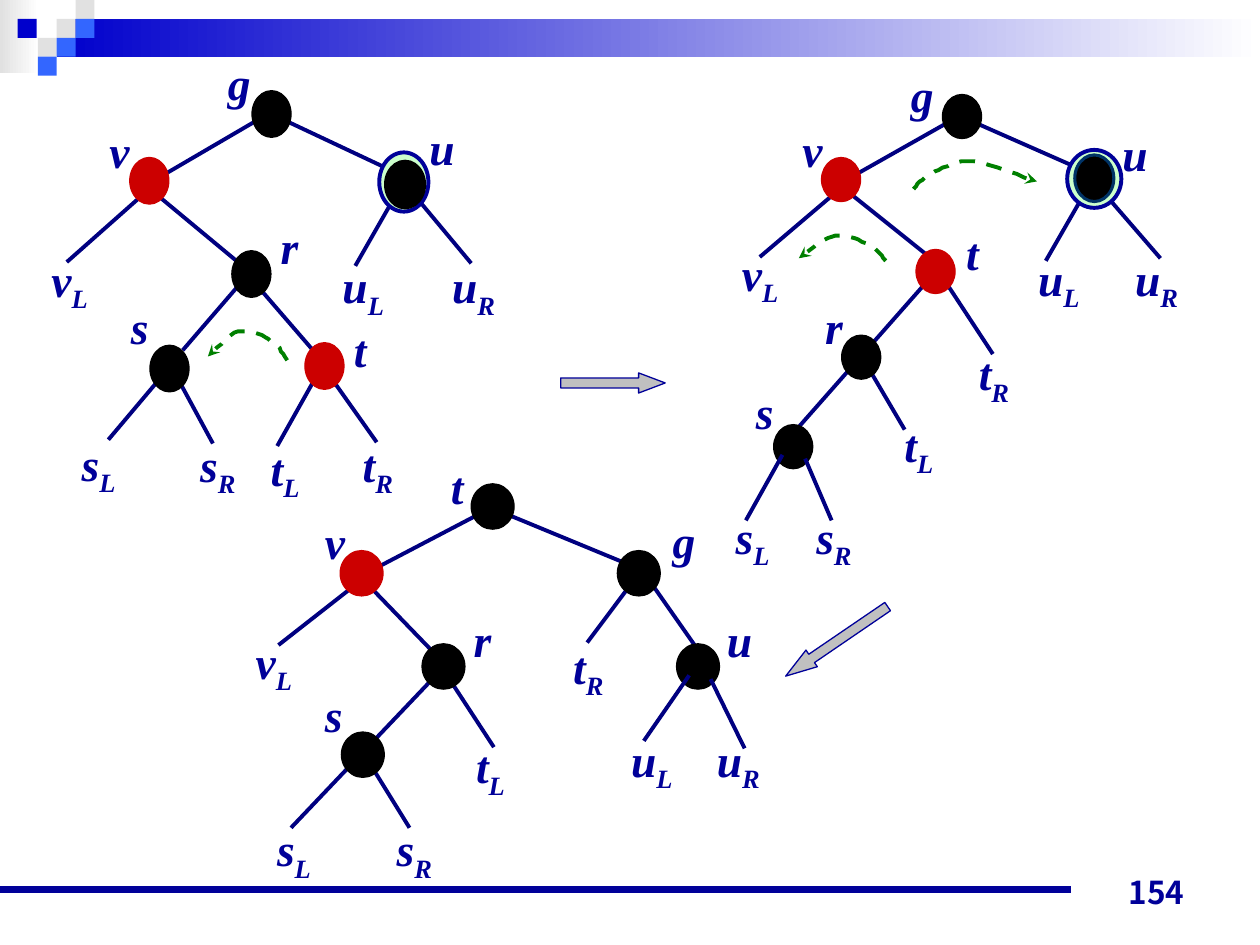
from dataclasses import dataclass
from lxml.etree import SubElement
from pptx import Presentation
from pptx.dml.color import RGBColor
from pptx.enum.dml import MSO_LINE
from pptx.enum.shapes import MSO_CONNECTOR, MSO_SHAPE
from pptx.enum.text import MSO_ANCHOR, PP_ALIGN
from pptx.oxml.ns import qn
from pptx.util import Emu, Pt

PX = 9144  # one px is a hundredth of an inch


@dataclass(frozen=True)
class Theme:
    navy: str = "000099"
    edge: str = "000080"
    black: str = "000000"
    red: str = "CC0000"
    ring: str = "CCFFCC"
    rim: str = "003366"
    green: str = "008000"
    silver: str = "C0C0C0"
    pale: str = "E1E1E1"
    deep: str = "0000CC"
    bright: str = "3366FF"
    white: str = "FFFFFF"
    label_font: str = "Times New Roman"
    number_font: str = "Noto Sans CJK JP"
    label_size: int = 26
    number_size: int = 18
    stroke: float = 2.25
    thin: float = 0.75


THEME = Theme()


def px(*lengths):
    return [Emu(length * PX) for length in lengths]


def color(code):
    return RGBColor.from_string(code)


def add_figure(page, kind, box, fill, line=None, width=THEME.thin):
    figure = page.shapes.add_shape(kind, *px(*box))
    figure.shadow.inherit = False
    if isinstance(fill, tuple):
        figure.fill.gradient()
        figure.fill.gradient_angle = 0
        for stop, code in zip(figure.fill.gradient_stops, fill):
            stop.color.rgb = color(code)
    else:
        figure.fill.solid()
        figure.fill.fore_color.rgb = color(fill)
    if line:
        figure.line.color.rgb = color(line)
        figure.line.width = Pt(width)
    else:
        figure.line.fill.background()
    return figure


def add_line(page, ends, code, width):
    line = page.shapes.add_connector(MSO_CONNECTOR.STRAIGHT, *px(*ends))
    line.line.color.rgb = color(code)
    line.line.width = Pt(width)
    SubElement(line._element.spPr, qn("a:effectLst"))


def add_text(page, box, text, font, size, subscript="", italic=False):
    frame = page.shapes.add_textbox(*px(*box)).text_frame
    frame.word_wrap = True
    para = frame.paragraphs[0]
    para.font.name, para.font.size = font, Pt(size)
    para.font.bold, para.font.italic = True, italic
    para.font.color.rgb = color(THEME.navy)
    para.add_run().text = text
    if subscript:
        span = para.add_run()
        span.text = subscript
        span._r.get_or_add_rPr().set("baseline", "-25000")
    return frame


def add_arc(page, left, top, points):
    """Dashed rotation arrow: a start point, then three points per Bézier curve."""
    curve = []
    for first in range(0, len(points) - 1, 3):
        a, b, c, d = points[first:first + 4]
        for t in (step / 8 for step in range(1, 9)):
            u = 1 - t
            curve.append(tuple(
                offset + u**3 * a[i] + 3 * u * u * t * b[i] + 3 * u * t * t * c[i] + t**3 * d[i]
                for i, offset in enumerate((left, top))))
    builder = page.shapes.build_freeform(left + points[0][0], top + points[0][1], scale=PX)
    builder.add_line_segments(curve, close=False)
    arc = builder.convert_to_shape()
    arc.shadow.inherit = False
    arc.fill.background()
    arc.line.color.rgb = color(THEME.green)
    arc.line.width = Pt(THEME.stroke)
    arc.line.dash_style = MSO_LINE.DASH
    SubElement(arc.line._get_or_add_ln(), qn("a:tailEnd"), type="stealth")


def add_tree(page, box, label_size, node_size, labels, edges, nodes,
             front_edges=(), ring=None, ringed_node=None, arcs=()):
    left, top = box

    def draw_edges(group):
        for x1, y1, x2, y2 in group:
            add_line(page, (left + x1, top + y1, left + x2, top + y2),
                     THEME.edge, THEME.stroke)

    def draw_node(x, y, size, fill, line, width=THEME.thin):
        add_figure(page, MSO_SHAPE.OVAL, (left + x, top + y, *size), fill, line, width)

    # Node and subtree names; the second letter is the subscript
    for name, x, y in labels:
        add_text(page, (left + x, top + y, *label_size), name[0],
                 THEME.label_font, THEME.label_size, name[1:], italic=True)
    draw_edges(edges)
    for x, y, code in nodes:
        draw_node(x, y, node_size, code, code)
    # Doubly black node
    if ring:
        draw_node(*ring[:2], ring[2:], THEME.ring, THEME.navy, THEME.stroke)
        x, y, rim = ringed_node
        draw_node(x, y, (31, 37), THEME.black, rim, 1.75)
    draw_edges(front_edges)
    for points in arcs:
        add_arc(page, left, top, points)


def add_banner(page, left, top):
    block = MSO_SHAPE.RECTANGLE
    add_figure(page, block, (left, top, 31, 58), (THEME.pale, THEME.white))
    add_figure(page, block, (left + 45, top + 15, 955, 30), (THEME.deep, THEME.white))
    for x, y, code in [(45, 15, THEME.pale), (60, 0, THEME.pale), (60, 15, THEME.bright),
                       (30, 30, THEME.pale), (14, 15, THEME.deep), (45, 30, THEME.bright),
                       (30, 45, THEME.bright)]:
        add_figure(page, block, (left + x, top + y, 15, 15), code)


def add_footer(page, left, top):
    add_line(page, (left, top + 28, left + 850, top + 28), THEME.navy, 4.5)
    frame = add_text(page, (left + 717, top, 233, 50), "154",
                     THEME.number_font, THEME.number_size)
    frame.vertical_anchor = MSO_ANCHOR.BOTTOM
    frame.paragraphs[0].alignment = PP_ALIGN.RIGHT


def add_step_arrow(page, box, head, rotation=0):
    arrow = add_figure(page, MSO_SHAPE.RIGHT_ARROW, box, THEME.silver, THEME.navy)
    arrow.adjustments[1] = head
    arrow.rotation = rotation


def main():
    deck = Presentation()
    deck.slide_width, deck.slide_height = px(1000, 750)
    page = deck.slides.add_slide(deck.slide_layouts[6])
    black, red = THEME.black, THEME.red
    add_banner(page, 0, 0)
    add_footer(page, 0, 678)

    # Starting tree
    add_tree(
        page, (31, 39), (97, 85), (31, 37),
        labels=[("g", 140, 0), ("v", 46, 54), ("u", 300, 51), ("uL", 231, 161),
                ("uR", 318, 161), ("sR", 118, 303), ("vL", 0, 156), ("s", 63, 193),
                ("r", 182, 130), ("sL", 24, 302), ("tR", 247, 303), ("t", 240, 212),
                ("tL", 174, 306)],
        edges=[(194, 56, 279, 96), (283, 116, 251, 172), (298, 116, 343, 170),
               (176, 191, 220, 242), (94, 116, 159, 170), (179, 53, 102, 98),
               (83, 115, 22, 169), (158, 188, 114, 239), (112, 265, 138, 313),
               (98, 259, 55, 310), (234, 264, 268, 312), (221, 258, 189, 315)],
        nodes=[(169, 33, black), (72, 86, red), (153, 160, black), (88, 235, black),
               (211, 233, red)],
        ring=(270, 82, 39, 47), ringed_node=(275, 89, black),
        arcs=[[(197, 247), (193, 240), (189, 234), (182, 230), (176, 226), (166, 222),
               (158, 224), (150, 226), (138, 241), (134, 244)]])

    # Tree after the first rotation
    add_tree(
        page, (574, 48), (95, 81), (31, 35),
        labels=[("g", 139, 0), ("v", 53, 44), ("u", 307, 47), ("uL", 240, 146),
                ("uR", 317, 146), ("sR", 64, 351), ("vL", 5, 142), ("s", 16, 252),
                ("r", 71, 184), ("sL", 0, 351), ("tR", 193, 221), ("t", 183, 126),
                ("tL", 134, 278)],
        edges=[(199, 49, 283, 86), (287, 105, 256, 159), (302, 105, 347, 157),
               (174, 172, 214, 233), (100, 105, 165, 157), (184, 46, 108, 89),
               (89, 105, 29, 156), (163, 174, 51, 301), (117, 247, 144, 293)],
        nodes=[(174, 27, black), (78, 77, red), (40, 289, black), (94, 218, black),
               (153, 150, red)],
        front_edges=[(65, 316, 86, 365), (47, 313, 18, 365)],
        ring=(273, 71, 43, 46), ringed_node=(279, 75, THEME.rim),
        arcs=[[(151, 102), (155, 97), (160, 92), (168, 88), (176, 85), (185, 79),
               (199, 80), (212, 81), (240, 94), (249, 96)],
              [(129, 159), (125, 153), (120, 148), (113, 145), (106, 141), (95, 138),
               (86, 140), (78, 142), (64, 154), (60, 157)]])

    # Steps between the trees
    add_step_arrow(page, (615, 501, 98, 16), 1.56, 145.7)
    add_step_arrow(page, (445, 296, 83, 16), 1.32)

    # Balanced tree
    add_tree(
        page, (193, 359), (105, 76), (34, 36),
        labels=[("g", 331, 43), ("v", 55, 44), ("u", 374, 122), ("uL", 298, 217),
                ("uR", 366, 217), ("sR", 112, 288), ("vL", 0, 139), ("s", 55, 181),
                ("r", 173, 122), ("sL", 17, 288), ("tR", 252, 143), ("t", 155, 0),
                ("tL", 175, 222)],
        edges=[(209, 49, 301, 87), (306, 107, 273, 151), (324, 104, 366, 164),
               (165, 182, 199, 234), (101, 107, 159, 167), (193, 46, 109, 90),
               (88, 106, 28, 153), (153, 177, 38, 298), (103, 251, 132, 298)],
        nodes=[(181, 25, black), (77, 78, red), (344, 152, black), (297, 78, black),
               (78, 222, black), (142, 152, black)],
        front_edges=[(371, 180, 398, 235), (354, 177, 318, 229)])
    deck.save("out.pptx")


if __name__ == "__main__":
    main()
